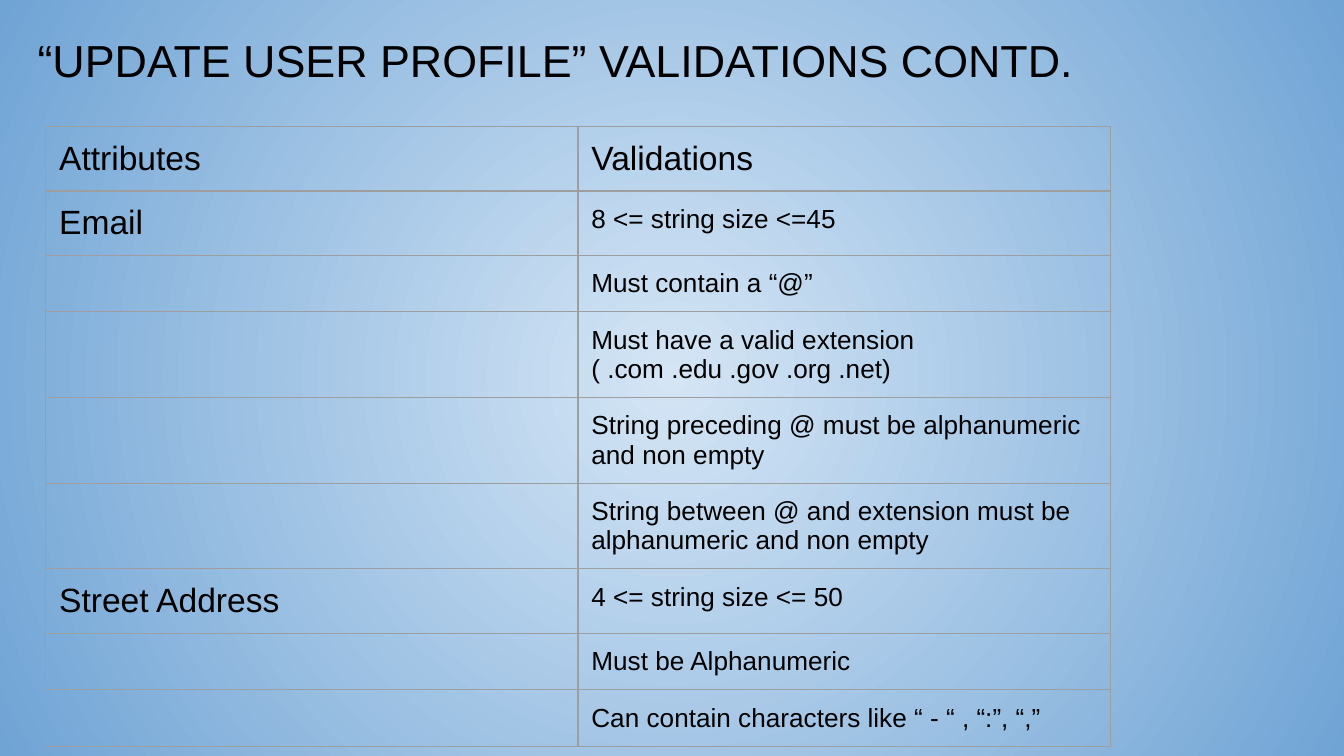
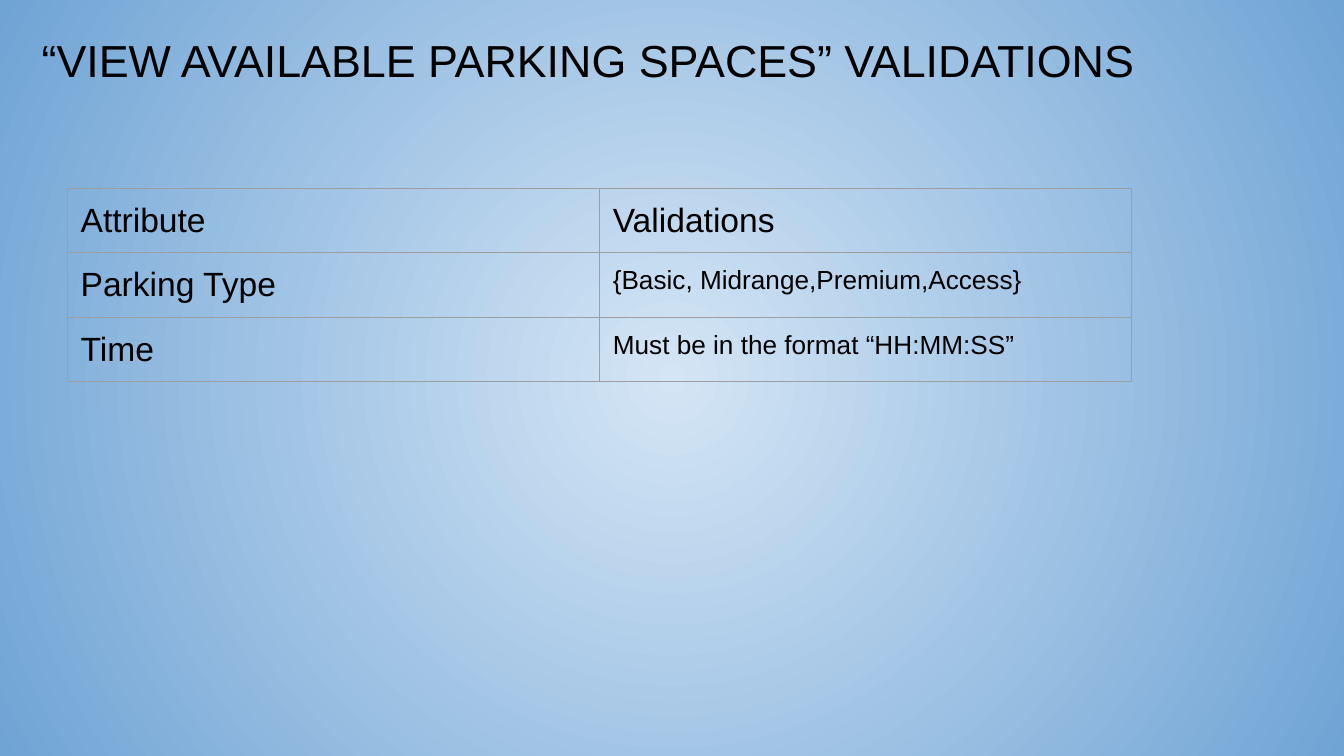
"""Build two slides that list validation rules for user input."""
from lxml import etree
from pptx import Presentation
from pptx.dml.color import RGBColor
from pptx.enum.text import MSO_ANCHOR as Anchor, MSO_AUTO_SIZE as Fit, PP_ALIGN as Align
from pptx.oxml import parse_xml
from pptx.oxml.ns import qn
from pptx.util import Inches, Pt

HUES = {"text": "000000", "rule": "9E9E9E", "glow": "D4E5F5", "edge": "70A4D5"}
FONT = "Arial"
WIDE = 10
HIGH = WIDE * 9 / 16
INSET = 0.1
COL, ROW = 3.96, 0.42
SIZES = {"title": 24, "name": 18, "rule": 14}

PAGES = [
    {
        "title": "“UPDATE USER PROFILE” VALIDATIONS CONTD.",
        "box": (0.18, 0.14, 9.55, 0.69),
        "spot": (0.34, 0.94),
        "head": ("Attributes", "Validations"),
        "rules": [
            ("Email", [
                "8 <= string size <=45",
                "Must contain a “@”",
                "Must have a valid extension ( .com .edu .gov .org .net)",
                "String preceding @ must be alphanumeric and non empty",
                "String between @ and extension must be alphanumeric and non empty",
            ]),
            ("Street Address", [
                "4 <= string size <= 50",
                "Must be Alphanumeric",
                "Can contain characters like “ - “ , “:”, “,”",
            ]),
        ],
    },
    {
        "title": "“VIEW AVAILABLE PARKING SPACES” VALIDATIONS",
        "box": (0.21, 0.14, 9.54, 0.67),
        "spot": (0.5, 1.4),
        "head": ("Attribute", "Validations"),
        "rules": [
            ("Parking Type", ["{Basic, Midrange,Premium,Access}"]),
            ("Time", ["Must be in the format “HH:MM:SS”"]),
        ],
    },
]

NS = 'xmlns:a="http://schemas.openxmlformats.org/drawingml/2006/main"'
GLOW = f"""<a:gradFill {NS} rotWithShape="1"><a:gsLst>
<a:gs pos="0"><a:srgbClr val="{HUES['glow']}"/></a:gs>
<a:gs pos="100000"><a:srgbClr val="{HUES['edge']}"/></a:gs></a:gsLst>
<a:path path="circle"><a:fillToRect l="50000" t="50000" r="50000" b="50000"/></a:path>
</a:gradFill>"""


def write(frame, text, size, hue="text"):
    para = frame.paragraphs[0]
    para.alignment = Align.LEFT
    if not text:
        end = etree.SubElement(para._p, qn("a:endParaRPr"))
        end.set("sz", str(size * 100))
        etree.SubElement(end, qn("a:latin")).set("typeface", FONT)
        return
    run = para.add_run()
    run.text = text
    run.font.name = FONT
    run.font.size = Pt(size)
    run.font.color.rgb = RGBColor.from_string(HUES[hue])


def pad(part):
    for side in ("left", "right", "top", "bottom"):
        setattr(part, f"margin_{side}", Inches(INSET))


def rule(cell):
    props = cell._tc.get_or_add_tcPr()
    for spot, side in enumerate(("lnL", "lnR", "lnT", "lnB")):
        props.insert(spot, parse_xml(
            f'<a:{side} {NS} w="{Pt(0.75)}"><a:solidFill>'
            f'<a:srgbClr val="{HUES["rule"]}"/></a:solidFill></a:{side}>'))


def add_title(slide, text, box):
    title = slide.shapes.title
    title.left, title.top, title.width, title.height = map(Inches, box)
    frame = title.text_frame
    frame.auto_size = Fit.NONE
    frame.word_wrap = True
    frame.vertical_anchor = Anchor.TOP
    pad(frame)
    write(frame, text, SIZES["title"])


def add_grid(slide, spot, head, rules):
    rows = [(name if i == 0 else "", line)
            for name, lines in rules for i, line in enumerate(lines)]
    rows.insert(0, head)
    left, top = map(Inches, spot)
    table = slide.shapes.add_table(
        len(rows), len(head), left, top,
        Inches(COL * len(head)), Inches(ROW * len(rows))).table
    table.first_row = table.horz_banding = False
    for r, row in enumerate(rows):
        for c, text in enumerate(row):
            cell = table.cell(r, c)
            pad(cell)
            cell.fill.background()
            rule(cell)
            kind = "name" if text and (r == 0 or c == 0) else "rule"
            write(cell.text_frame, text, SIZES[kind])


def main():
    deck = Presentation()
    deck.slide_width, deck.slide_height = Inches(WIDE), Inches(HIGH)
    master = deck.slide_master
    master.background.fill.solid()
    props = master._element.cSld.bg.bgPr
    props.replace(props[0], parse_xml(GLOW))
    for page in PAGES:
        slide = deck.slides.add_slide(deck.slide_layouts[5])
        add_title(slide, page["title"], page["box"])
        add_grid(slide, page["spot"], page["head"], page["rules"])
    deck.save("out.pptx")


if __name__ == "__main__":
    main()
